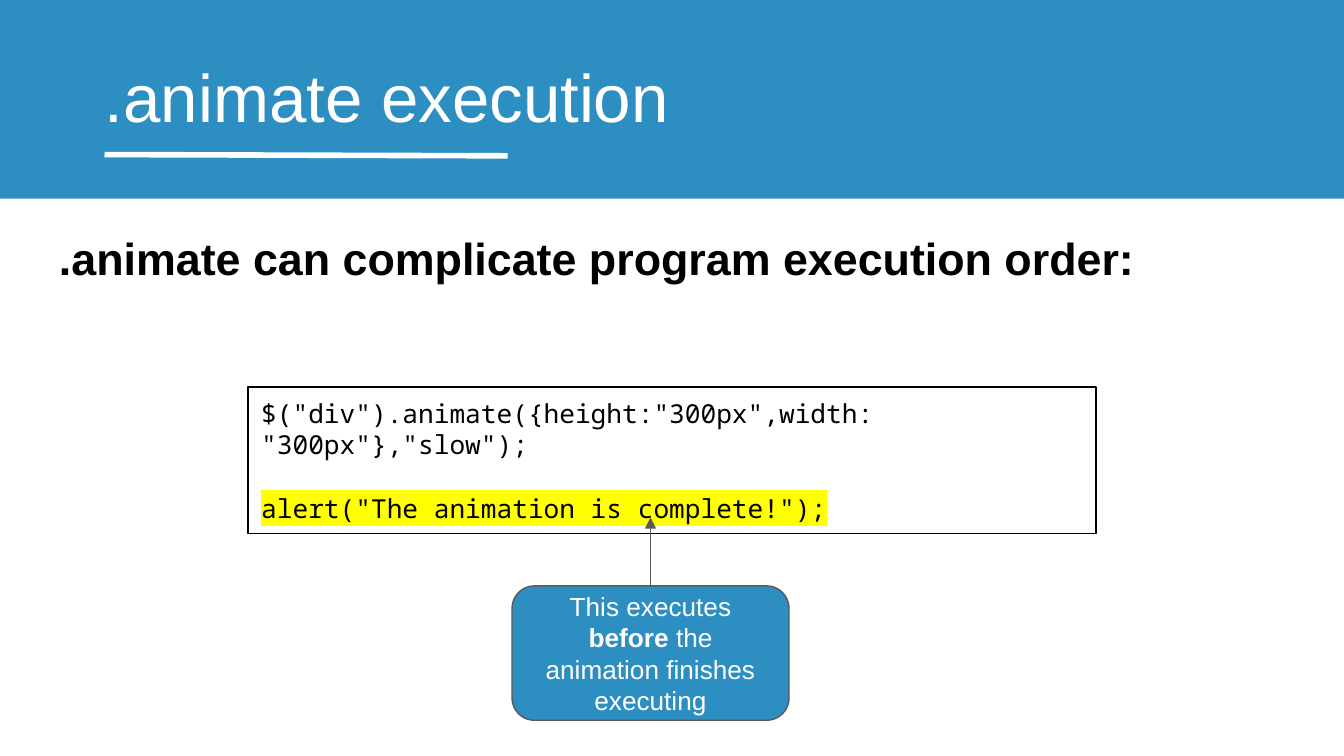
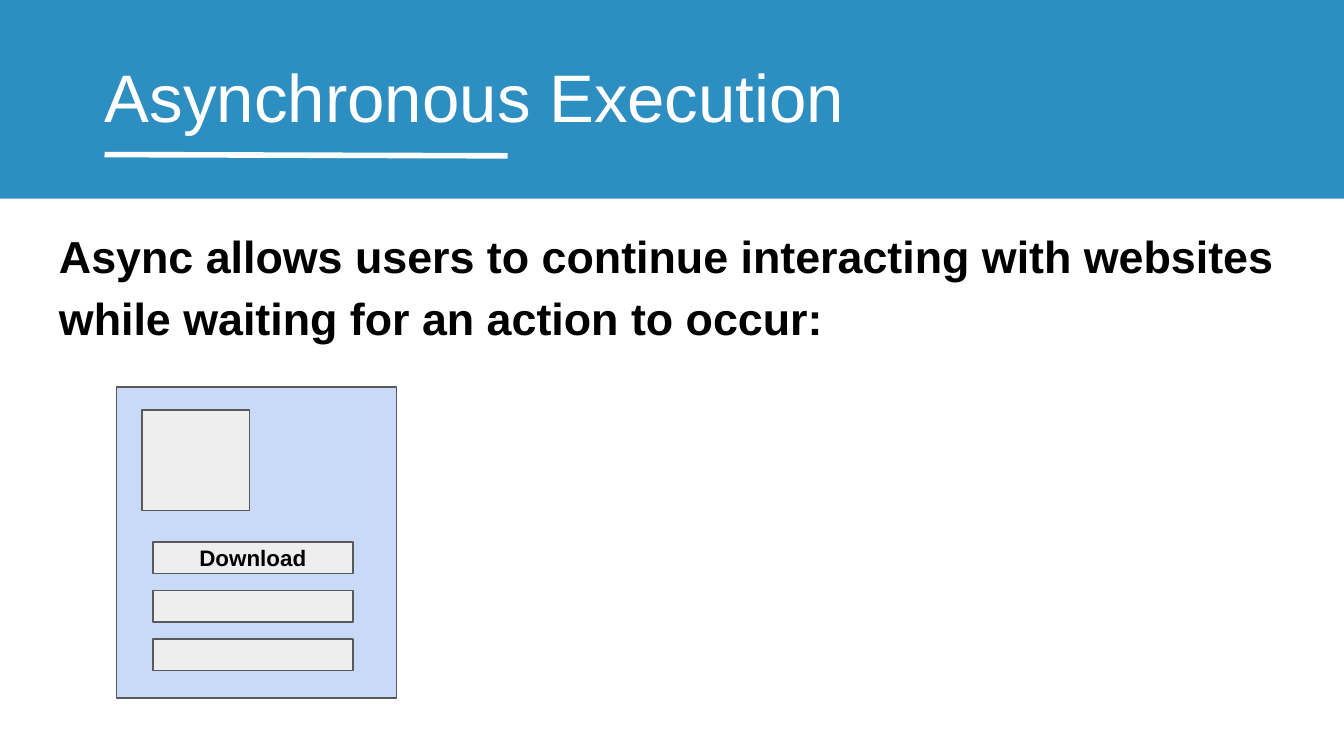
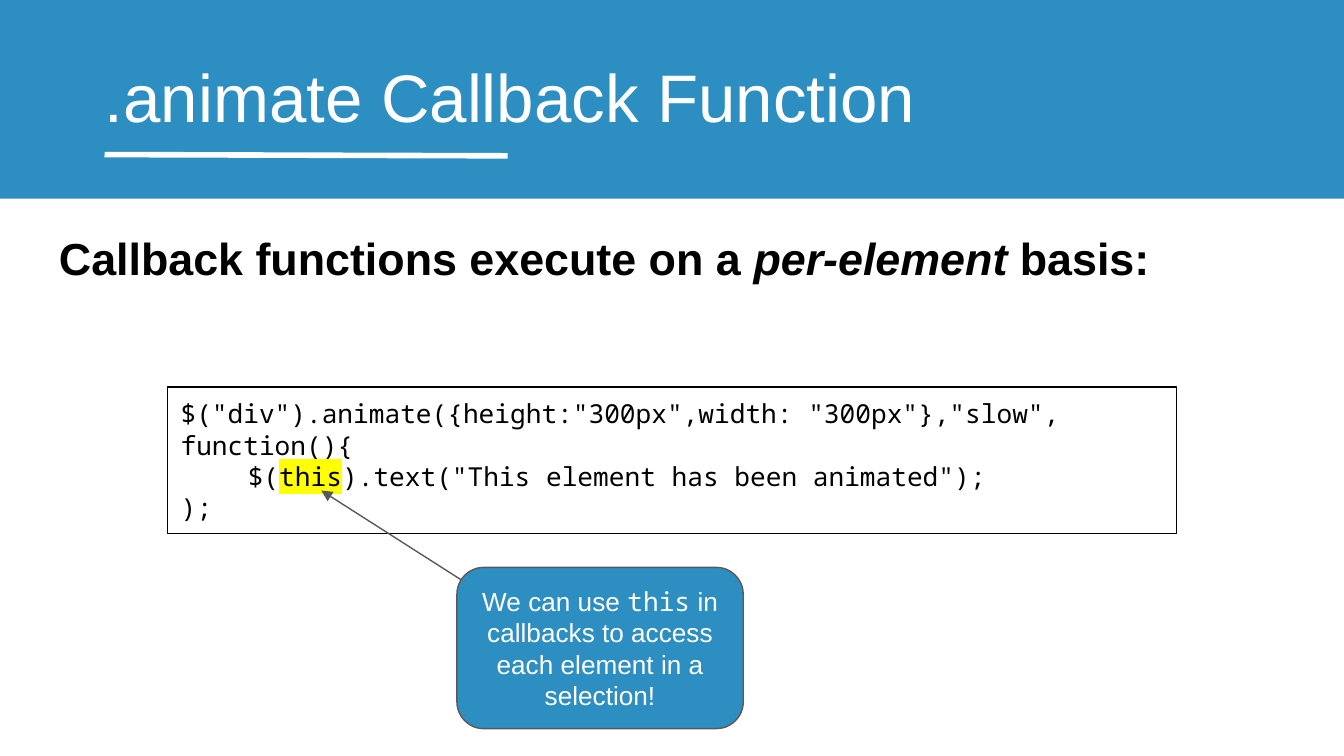
from lxml.etree import Element, SubElement
from pptx import Presentation
from pptx.dml.color import RGBColor
from pptx.enum.shapes import MSO_CONNECTOR, MSO_SHAPE
from pptx.enum.text import MSO_ANCHOR, MSO_AUTO_SIZE, PP_ALIGN
from pptx.oxml.ns import qn
from pptx.util import Pt

COLORS = {
    "blue": "2D8EC2",
    "white": "FFFFFF",
    "black": "000000",
    "outline": "595959",
    "window": "C9DAF8",
    "control": "EEEEEE",
    "highlight": "FFFF00",
}
SANS, MONO = "Arial", "Noto Sans Mono"
PAGE_WIDTH, PAGE_HEIGHT = 720, 405
CONTENT_TOP = 207.4
INSET = 7.2


def rgb(name):
    return RGBColor.from_string(COLORS[name])


def highlight_span(span, color):
    mark = Element(qn("a:highlight"))
    SubElement(mark, qn("a:srgbClr"), val=COLORS[color])
    span.font._rPr.find(qn("a:solidFill")).addnext(mark)


def write(box, *paragraphs, size, color="black", font=SANS, bold=False,
          align=PP_ALIGN.LEFT, anchor=MSO_ANCHOR.TOP, line_spacing=None, space_after=None):
    """Fill a box; a paragraph is a string or a list of strings and (text, changes) pairs."""
    frame = box.text_frame
    frame.word_wrap = True
    frame.auto_size = MSO_AUTO_SIZE.NONE
    frame.vertical_anchor = anchor
    frame.margin_left = frame.margin_right = Pt(INSET)
    frame.margin_top = frame.margin_bottom = Pt(INSET)
    for index, spans in enumerate(paragraphs):
        para = frame.paragraphs[0] if index == 0 else frame.add_paragraph()
        para.alignment = align
        if line_spacing:
            para.line_spacing = line_spacing
        if space_after:
            para.space_after = Pt(space_after)
        for part in [spans] if isinstance(spans, str) else spans:
            text, changes = (part, {}) if isinstance(part, str) else part
            span = para.add_run()
            span.text = text
            span.font.size = Pt(size)
            span.font.name = changes.get("font", font)
            span.font.bold = changes.get("bold", bold)
            span.font.italic = changes.get("italic", False)
            span.font.color.rgb = rgb(color)
            if "highlight" in changes:
                highlight_span(span, changes["highlight"])


def add_box(page, left, top, width, height, fill=None, line="outline",
            kind=MSO_SHAPE.RECTANGLE):
    box = page.shapes.add_shape(kind, Pt(left), Pt(top), Pt(width), Pt(height))
    box.shadow.inherit = False
    if fill:
        box.fill.solid()
        box.fill.fore_color.rgb = rgb(fill)
    else:
        box.fill.background()
    if line:
        box.line.color.rgb = rgb(line)
        box.line.width = Pt(0.75)
    else:
        box.line.fill.background()
    return box


def add_line(page, start, end, color="outline", width=0.75, arrow=False):
    line = page.shapes.add_connector(
        MSO_CONNECTOR.STRAIGHT, *(Pt(value) for value in (*start, *end)))
    line.line.color.rgb = rgb(color)
    line.line.width = Pt(width)
    if arrow:
        SubElement(line.line._get_or_add_ln(), qn("a:tailEnd"), type="triangle")
    SubElement(line.element.spPr, qn("a:effectLst"))
    return line


def add_header_to_layout(layout, page):
    """Draw the title band and its rule on a page, then move them behind the layout's parts."""
    band = add_box(page, 0, 0, PAGE_WIDTH, 106.5, fill="blue", line=None)
    rule = add_line(page, (56, 82.8), (272, 83.5), color="white", width=3)
    for index, part in enumerate((band, rule), start=2):
        layout.shapes.element.insert(index, part.element)


def add_page(deck, layout, title, statement, statement_top=112.3):
    page = deck.slides.add_slide(layout)
    heading = page.shapes.title
    heading.left, heading.top = Pt(49), Pt(22.3)
    heading.width, heading.height = Pt(671), Pt(45.4)
    write(heading, title, size=36, color="white")
    body = page.shapes.add_textbox(Pt(24.5), Pt(statement_top), Pt(671), Pt(269.3))
    write(body, statement, size=24, bold=True, line_spacing=1.15, space_after=16)
    return page


def add_code(page, width, *lines):
    box = add_box(page, (PAGE_WIDTH - width) / 2, CONTENT_TOP, width, 78.5, line="black")
    write(box, *lines, size=14, font=MONO, anchor=MSO_ANCHOR.MIDDLE)
    return box


def add_callout(page, left, top, width, height, spans, tail, target):
    """Place a callout over an arrow that starts at tail, inside the callout."""
    start = left + tail[0], top + tail[1]
    add_line(page, start, target, arrow=True)
    box = add_box(page, left, top, width, height, fill="blue",
                  kind=MSO_SHAPE.ROUNDED_RECTANGLE)
    write(box, spans, size=14, color="white", align=PP_ALIGN.CENTER,
          anchor=MSO_ANCHOR.MIDDLE)


def add_website(page, left, top, width, height):
    add_box(page, left, top, width, height, fill="window")
    add_box(page, left + 13.7, top + 12.2, 57.6, 54, fill="control")
    for row, label in enumerate(("Download", "", "")):
        button = add_box(page, left + 19.4, top + 83 + 26 * row, 107.2, 16.8, fill="control")
        if label:
            write(button, label, size=12, bold=True, align=PP_ALIGN.CENTER,
                  anchor=MSO_ANCHOR.MIDDLE)


def build_execution_page(deck, layout):
    page = add_page(deck, layout, ".animate execution",
                    ".animate can complicate program execution order:")
    code = add_code(page, 454.3,
                    '$("div").animate({height:"300px",width: "300px"},"slow");',
                    [('alert("The animation is complete!");', {"highlight": "highlight"})])
    code.text_frame.paragraphs[1].space_before = Pt(17)
    add_callout(page, 274.3, 313.9, 148.4, 72,
                ["This executes ", ("before ", {"bold": True}),
                 "the animation finishes executing"],
                tail=(74.2, 13.7), target=(348.5, 277.2))


def build_async_page(deck, layout):
    page = add_page(deck, layout, "Asynchronous Execution",
                    "Async allows users to continue interacting with websites "
                    "while waiting for an action to occur:", statement_top=110.9)
    add_website(page, 62.5, CONTENT_TOP, 150, 166.5)


def build_callback_page(deck, layout):
    page = add_page(deck, layout, ".animate Callback Function",
                    ["Callback functions execute on a ",
                     ("per-element", {"italic": True}), " basis:"])
    add_code(page, 540.7,
             '$("div").animate({height:"300px",width: "300px"},"slow", function(){',
             ["\t$(", ("this", {"highlight": "highlight"}),
              ').text("This element has been animated");'],
             ");")
    add_callout(page, 244.8, 304, 153.4, 86.4,
                ["We can use ", ("this", {"font": MONO}),
                 " in callbacks to access each element in a selection!"],
                tail=(13, 13.5), target=(172.1, 262.8))


def main():
    deck = Presentation()
    deck.slide_width, deck.slide_height = Pt(PAGE_WIDTH), Pt(PAGE_HEIGHT)
    layout = deck.slide_layouts[5]
    build_execution_page(deck, layout)
    add_header_to_layout(layout, deck.slides[0])
    build_async_page(deck, layout)
    build_callback_page(deck, layout)
    deck.save("out.pptx")


if __name__ == "__main__":
    main()
